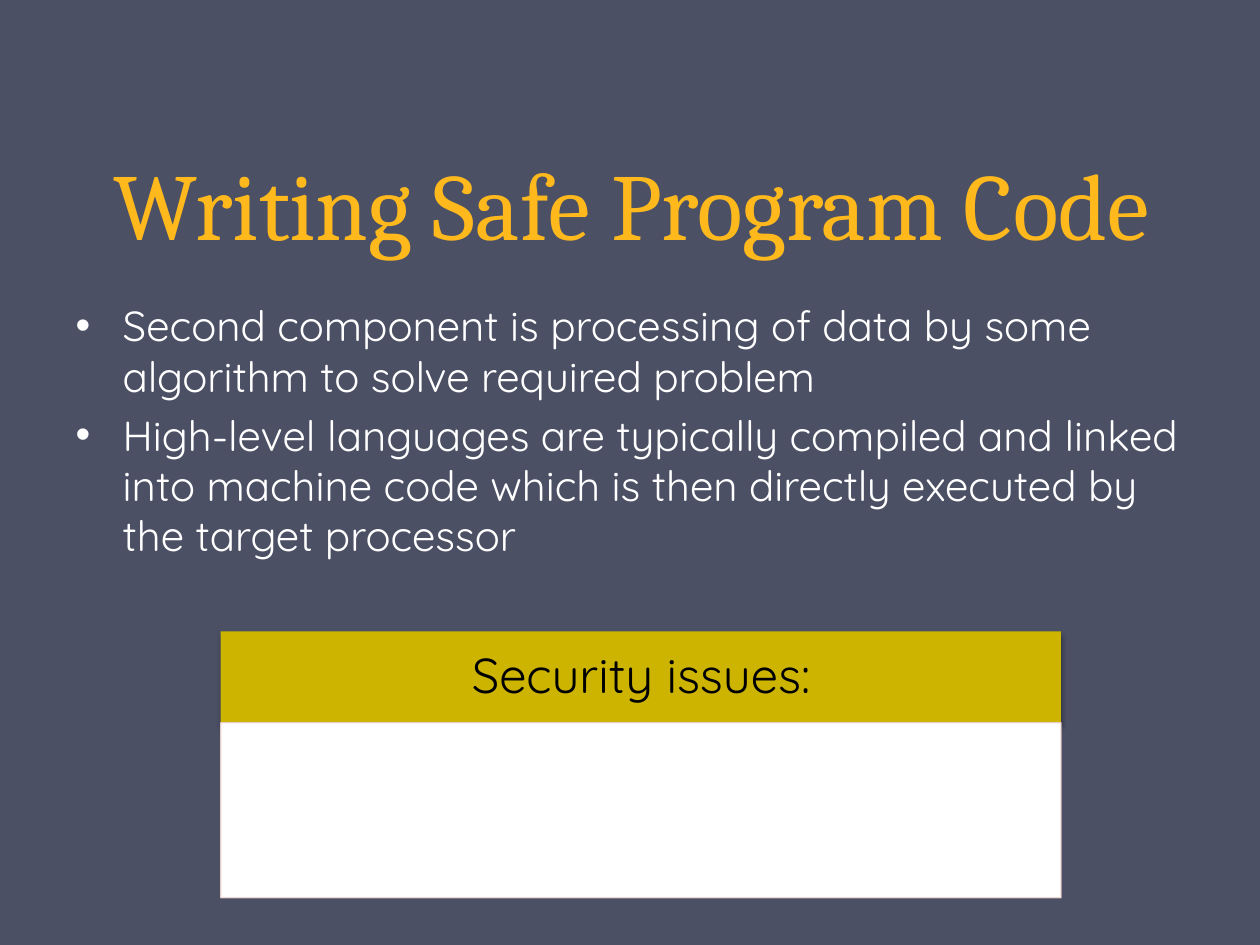
from dataclasses import dataclass

from lxml.etree import SubElement
from pptx import Presentation
from pptx.dml.color import RGBColor
from pptx.enum.shapes import MSO_SHAPE
from pptx.enum.text import MSO_ANCHOR as Anchor, MSO_AUTO_SIZE as AutoSize, PP_ALIGN as Align
from pptx.oxml.ns import qn
from pptx.util import Cm, Pt


@dataclass
class Box:
    left: float
    top: float
    width: float
    height: float


TITLE_BOX = Box(1.3, 0.91, 22.86, 4.45)
BODY_BOX = Box(1.27, 5.92, 22.86, 6.55)
HEADER_BOX = Box(4.45, 12.73, 16.94, 1.84)
PANEL_BOX = Box(4.45, 14.57, 16.94, 3.53)

BULLETS = [
    "Second component is processing of data by some algorithm to solve required problem",
    "High-level languages are typically compiled and linked into machine code "
    "which is then directly executed by the target processor",
]


def color(value: str) -> RGBColor:
    return RGBColor.from_string(value)


def place(shape, box: Box) -> None:
    shape.left, shape.top = Cm(box.left), Cm(box.top)
    shape.width, shape.height = Cm(box.width), Cm(box.height)


def style(paragraph, name: str, size: float, value: str) -> None:
    font = paragraph.font
    font.name, font.size, font.color.rgb = name, Pt(size), color(value)


def add_bullet(paragraph, indent: int) -> None:
    properties = paragraph._p.get_or_add_pPr()
    properties.set("marL", str(indent))
    properties.set("indent", str(-indent))
    SubElement(properties, qn("a:buFont"), typeface="Arial")
    SubElement(properties, qn("a:buChar"), char="•")


def add_rectangle(shapes, box: Box, fill: str):
    shape = shapes.add_shape(MSO_SHAPE.RECTANGLE, Cm(box.left), Cm(box.top),
                             Cm(box.width), Cm(box.height))
    shape.shadow.inherit = False
    shape.fill.solid()
    shape.fill.fore_color.rgb = color(fill)
    shape.line.fill.background()
    return shape


def add_alpha(color_element, percent: int) -> None:
    SubElement(color_element, qn("a:alpha"), val=str(percent * 1000))


def add_shadow(shape) -> None:
    effects = shape._element.spPr.find(qn("a:effectLst"))
    shadow = SubElement(effects, qn("a:outerShdw"), blurRad=str(Pt(3.1)),
                        dist=str(Pt(1.8)), dir="5400000", rotWithShape="0")
    add_alpha(SubElement(shadow, qn("a:srgbClr"), val="000000"), 35)


def main() -> None:
    presentation = Presentation()
    presentation.slide_width, presentation.slide_height = Cm(25.4), Cm(19.05)
    slide = presentation.slides.add_slide(presentation.slide_layouts[1])
    slide.background.fill.solid()
    slide.background.fill.fore_color.rgb = color("4B5064")

    # Title
    title = slide.shapes.title
    place(title, TITLE_BOX)
    frame = title.text_frame
    frame.text = "Writing Safe Program Code"
    frame.auto_size = AutoSize.NONE
    frame.vertical_anchor = Anchor.BOTTOM
    paragraph = frame.paragraphs[0]
    paragraph.alignment = Align.CENTER
    paragraph.line_spacing = Pt(58)
    style(paragraph, "Cambria", 54, "FFB91D")

    # Bullet list
    body = slide.placeholders[1]
    place(body, BODY_BOX)
    frame = body.text_frame
    frame.text = "\n".join(BULLETS)
    frame.auto_size = AutoSize.NONE
    for paragraph in frame.paragraphs:
        paragraph.space_before = Pt(4.8)
        style(paragraph, "Quicksand", 24, "FFFFFF")
        add_bullet(paragraph, Cm(0.95))

    # Security issues card: header above an empty panel
    card = slide.shapes.add_group_shape()
    header = add_rectangle(card.shapes, HEADER_BOX, "CCB400")
    add_shadow(header)
    frame = header.text_frame
    frame.text = "Security issues:"
    frame.word_wrap = True
    frame.vertical_anchor = Anchor.MIDDLE
    frame.margin_left = frame.margin_right = Cm(0.56)
    frame.margin_top = frame.margin_bottom = Cm(0.3)
    paragraph = frame.paragraphs[0]
    paragraph.alignment = Align.CENTER
    paragraph.line_spacing = 0.9
    style(paragraph, "Quicksand", 28, "000000")

    panel = add_rectangle(card.shapes, PANEL_BOX, "FFFFFF")
    panel.line.color.rgb = color("EED3D0")
    panel.line.width = Pt(0.75)
    add_alpha(panel.line._ln.find(".//" + qn("a:srgbClr")), 90)

    presentation.save("out.pptx")


if __name__ == "__main__":
    main()
